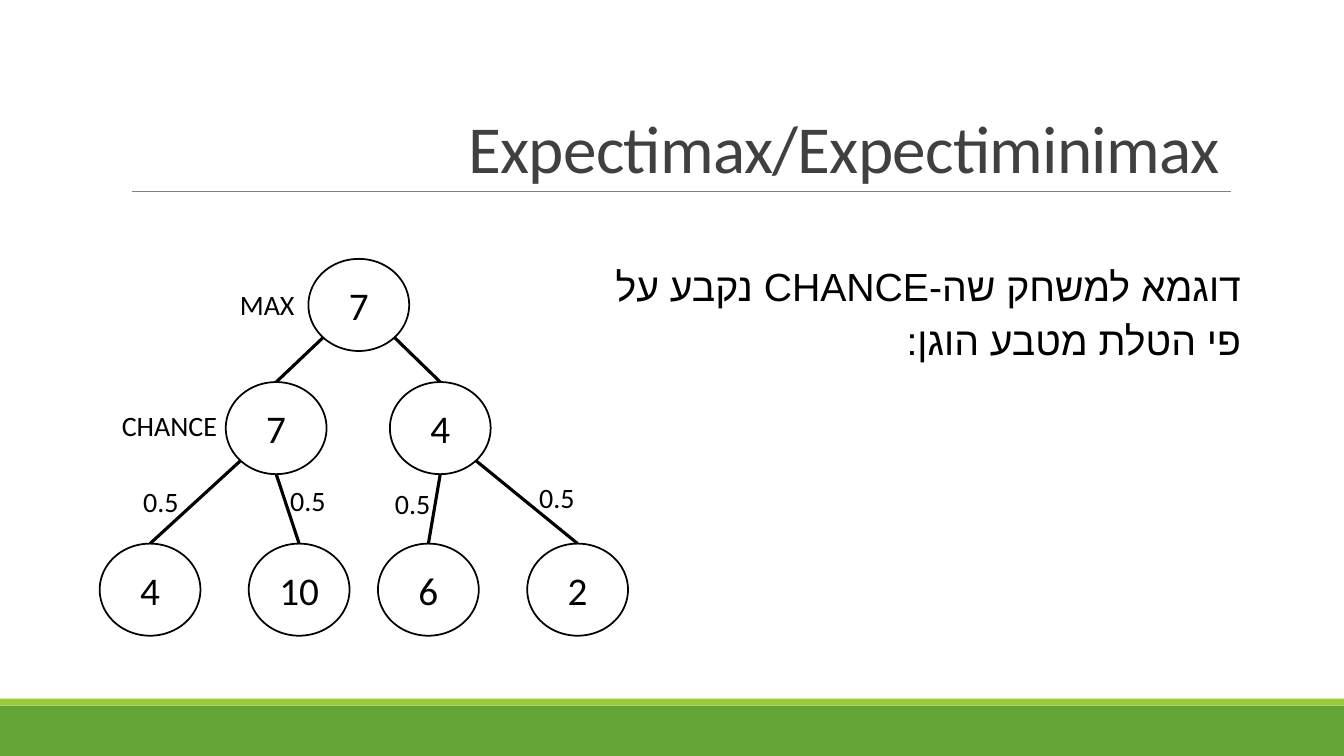
from dataclasses import dataclass
from math import sqrt

from lxml.etree import SubElement
from pptx import Presentation
from pptx.dml.color import RGBColor
from pptx.enum.shapes import MSO_CONNECTOR, MSO_SHAPE
from pptx.enum.text import MSO_ANCHOR, PP_ALIGN
from pptx.oxml.ns import qn
from pptx.util import Pt


@dataclass(frozen=True)
class Theme:
    """Colours, fonts and type sizes."""
    green: str = "63A537"
    lime: str = "99CB38"
    rule: str = "808080"
    ink: str = "000000"
    paper: str = "FFFFFF"
    head: str = "404040"
    sans: str = "Calibri"
    body: str = "Arial"
    big: int = 48
    mid: int = 28
    small: int = 20


class Deck:
    """Holds the theme and the current slide."""

    def __init__(self, theme, slide):
        """Keep the theme and the slide."""
        self.theme = theme
        self.shapes = slide.shapes

    def run(self, para, text, size, color, font):
        """Add one styled run."""
        run = para.add_run()
        run.text = text
        run.font.size = Pt(size)
        run.font.name = font
        run.font.color.rgb = RGBColor.from_string(color)
        SubElement(run._r.get_or_add_rPr(), qn("a:cs")).set("typeface", font)
        return run

    def band(self, top, high, color):
        """Draw a full-width bar."""
        bar = self.shapes.add_shape(MSO_SHAPE.RECTANGLE, 0, Pt(top), Pt(WIDE), Pt(high))
        bar.shadow.inherit = False
        bar.fill.solid()
        bar.fill.fore_color.rgb = RGBColor.from_string(color)
        bar.line.fill.background()

    def line(self, start, end, color, width):
        """Draw a straight line between two points."""
        link = self.shapes.add_connector(
            MSO_CONNECTOR.STRAIGHT, *(Pt(v) for v in (*start, *end)))
        link.line.color.rgb = RGBColor.from_string(color)
        link.line.width = Pt(width)
        SubElement(link._element.spPr, qn("a:effectLst"))

    def node(self, center, text):
        """Draw a tree node around its centre."""
        x, y = center
        oval = self.shapes.add_shape(
            MSO_SHAPE.OVAL, Pt(x - NODE_W / 2), Pt(y - NODE_H / 2), Pt(NODE_W), Pt(NODE_H))
        oval.shadow.inherit = False
        oval.fill.solid()
        oval.fill.fore_color.rgb = RGBColor.from_string(self.theme.paper)
        oval.line.color.rgb = RGBColor.from_string(self.theme.ink)
        oval.line.width = Pt(1.25)
        frame = oval.text_frame
        frame.vertical_anchor = MSO_ANCHOR.MIDDLE
        para = frame.paragraphs[0]
        para.alignment = PP_ALIGN.CENTER
        self.run(para, text, self.theme.mid, self.theme.ink, self.theme.sans)

    def box(self, left, top, wide, high, wrap=True):
        """Add a text box and return its frame."""
        frame = self.shapes.add_textbox(Pt(left), Pt(top), Pt(wide), Pt(high)).text_frame
        frame.word_wrap = wrap
        return frame

    def label(self, left, top, wide, text):
        """Add a short one-line label."""
        para = self.box(left, top, wide, 31.5, wrap=False).paragraphs[0]
        self.run(para, text, self.theme.small, self.theme.ink, self.theme.sans)

    def hebrew(self, frame, spacing):
        """Set up the first paragraph to read from the right."""
        para = frame.paragraphs[0]
        para.alignment = PP_ALIGN.RIGHT
        para.line_spacing = spacing
        para._p.get_or_add_pPr().set("rtl", "1")
        return para

    def title(self, text):
        """Add the slide title."""
        frame = self.box(86.4, 22.5, 792, 114.5)
        frame.vertical_anchor = MSO_ANCHOR.BOTTOM
        run = self.run(self.hebrew(frame, 0.85), text,
                       self.theme.big, self.theme.head, self.theme.sans)
        run._r.get_or_add_rPr().set("spc", "-50")

    def body(self, lines):
        """Add the body text, one run a line."""
        para = self.hebrew(self.box(11.5, 178.8, 882, 85.5), 1.15)
        para.space_after = Pt(10)
        for i, text in enumerate(lines):
            if i:
                para.add_line_break()
            self.run(para, text, self.theme.mid, self.theme.ink, self.theme.body)

    def edge(self, parent, child, side):
        """Join a parent's lower left (-1), bottom (0) or lower right (1) to a child's top."""
        drop = NODE_H / 2 / (sqrt(2) if side else 1)
        start = parent[0] + side * NODE_W / 2 / sqrt(2), parent[1] + drop
        self.line(start, (child[0], child[1] - NODE_H / 2), self.theme.ink, 2.25)


WIDE, HIGH = 960, 540
NODE_W, NODE_H = 72, 65.8
MAX_Y, CHANCE_Y, LEAF_Y = 217.8, 305.8, 421.2

NODES = {
    "max": (256.3, MAX_Y, "7"),
    "left": (197.3, CHANCE_Y, "7"),
    "right": (314.5, CHANCE_Y, "4"),
    "four": (107.2, LEAF_Y, "4"),
    "ten": (213.7, LEAF_Y, "10"),
    "six": (306, LEAF_Y, "6"),
    "two": (412.6, LEAF_Y, "2"),
}
EDGES = [
    ("max", "left", -1), ("max", "right", 1),
    ("left", "four", -1), ("left", "ten", 0),
    ("right", "six", 0), ("right", "two", 1),
]
ODDS = [(95.2, 342.7), (200.2, 342), (275, 344.2), (378, 339.8)]

show = Presentation()
show.slide_width, show.slide_height = Pt(WIDE), Pt(HIGH)
theme = Theme()
deck = Deck(theme, show.slides.add_slide(show.slide_layouts[6]))

deck.band(504, 36, theme.green)
deck.band(499, 5, theme.lime)
deck.line((94.3, 136.8), (879, 136.8), theme.rule, 0.5)
deck.title("Expectimax/Expectiminimax")
deck.body(["דוגמא למשחק שה-CHANCE נקבע על", "פי הטלת מטבע הוגן:"])

for parent, child, side in EDGES:
    deck.edge(NODES[parent][:2], NODES[child][:2], side)
for x, y, value in NODES.values():
    deck.node((x, y), value)

deck.label(164.2, 201.6, 54, "MAX")
deck.label(79.9, 288, 83.5, "CHANCE")
for left, top in ODDS:
    deck.label(left, top, 40.3, "0.5")

show.save("out.pptx")
